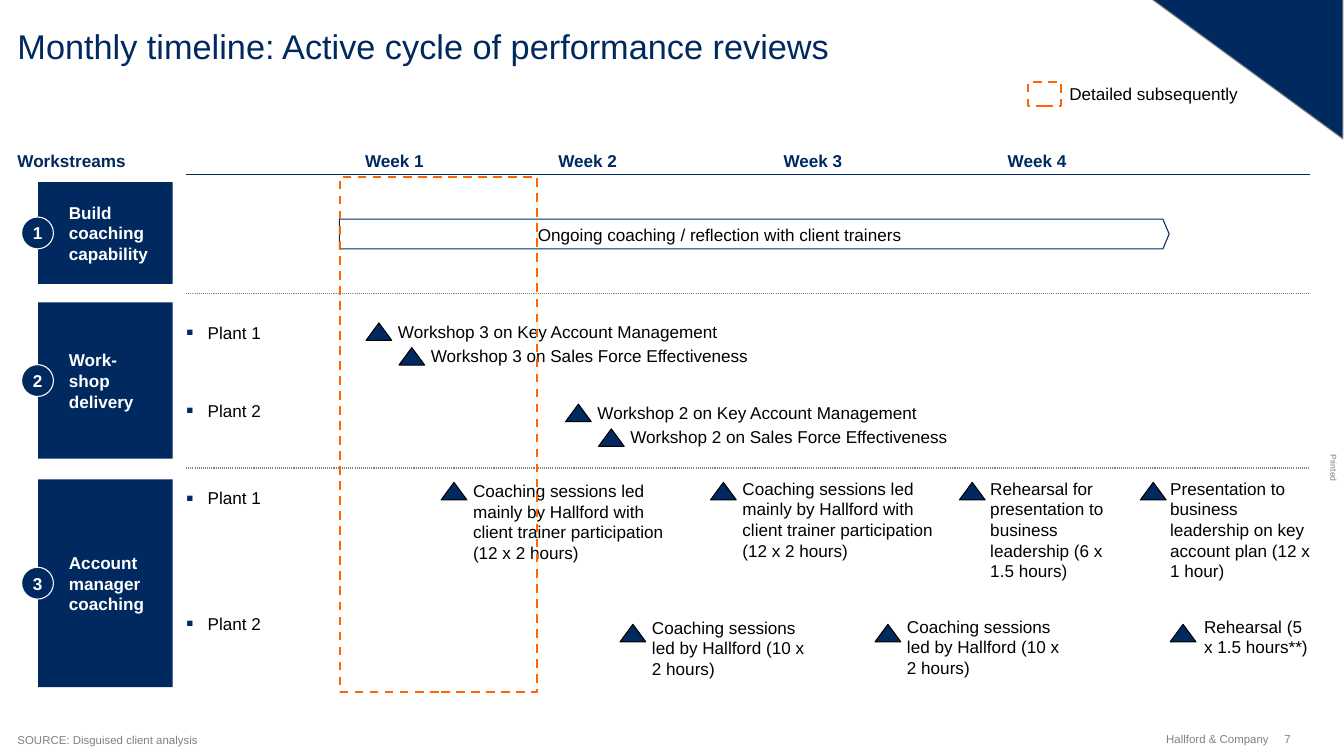
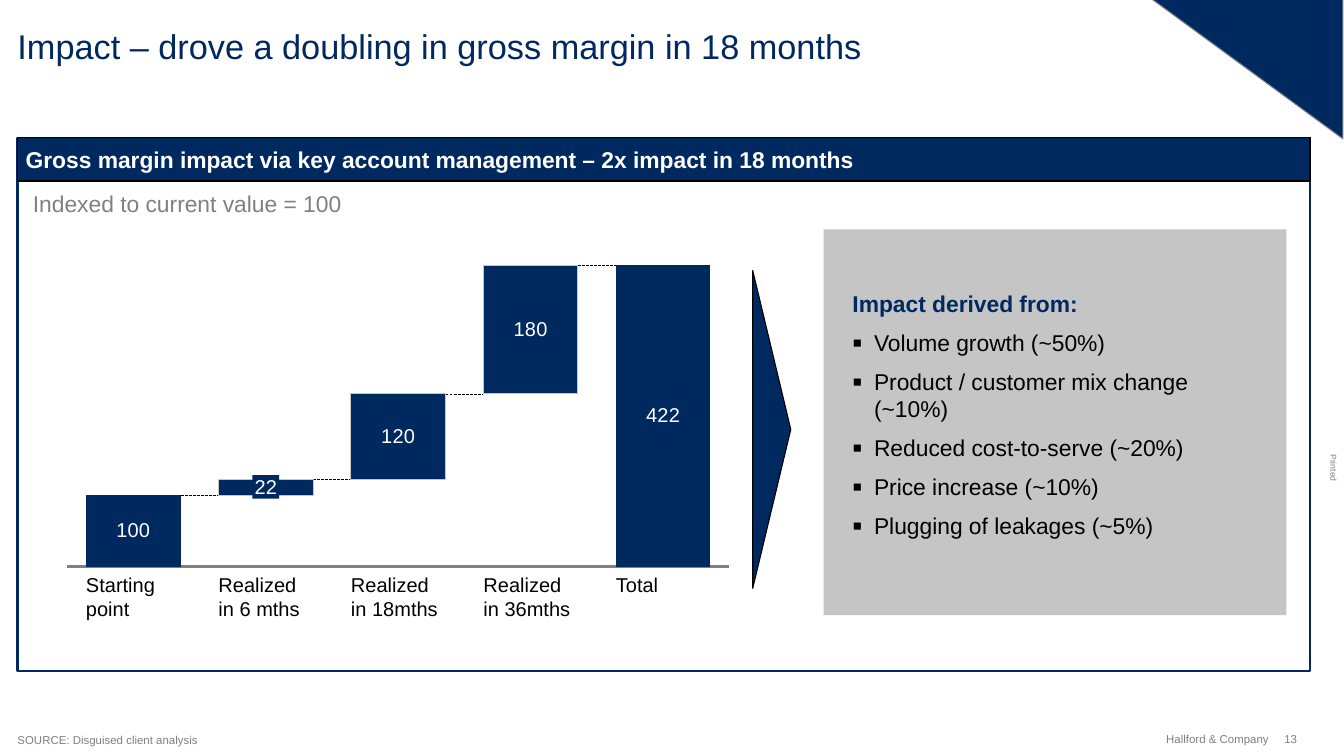
import lxml.etree
import pptx
import pptx.chart.data
import pptx.dml.color
import pptx.enum.chart
import pptx.enum.dml
import pptx.enum.shapes
import pptx.enum.text
import pptx.oxml
import pptx.oxml.ns
import pptx.util

Inches = pptx.util.Inches
Pt = pptx.util.Pt
Shape = pptx.enum.shapes.MSO_SHAPE
Dash = pptx.enum.dml.MSO_LINE
Align = pptx.enum.text.PP_ALIGN
Anchor = pptx.enum.text.MSO_ANCHOR
qn = pptx.oxml.ns.qn

COLOURS = {
    "navy": "002960", "grey": "808080", "silver": "C5C5C5",
    "orange": "FF6600", "black": "000000", "white": "FFFFFF",
}
FONT = "Arial"
MARGIN = 0.17
CONTENT_RIGHT = 12.74


def colour(name):
    return pptx.dml.color.RGBColor.from_string(COLOURS[name])


def style_font(font, size, ink, bold=False):
    font.name, font.size, font.bold = FONT, Pt(size), bold
    font.color.rgb = colour(ink)


def write(box, paragraphs, size, ink="black", bold=False, align=Align.LEFT,
          anchor=Anchor.TOP, insets=(0, 0, 0, 0)):
    """Fill a box with one string or a list of paragraphs."""
    frame = box.text_frame
    frame.word_wrap = True
    frame.vertical_anchor = anchor
    (frame.margin_left, frame.margin_top,
     frame.margin_right, frame.margin_bottom) = map(Inches, insets)
    if isinstance(paragraphs, str):
        paragraphs = [paragraphs]
    for index, text in enumerate(paragraphs):
        para = frame.add_paragraph() if index else frame.paragraphs[0]
        para.text = text
        para.alignment = align
        for span in para.runs:
            style_font(span.font, size, ink, bold)
    return box


def add_text(page, left, top, width, height, paragraphs, size, **style):
    box = page.shapes.add_textbox(*map(Inches, (left, top, width, height)))
    return write(box, paragraphs, size, **style)


def style_line(line, ink, weight, dash=None):
    line.color.rgb = colour(ink)
    line.width = Pt(weight)
    if dash is not None:
        line.dash_style = dash


def add_shape(page, kind, left, top, width, height, fill=None, line=None,
              weight=0.75, dash=None, rotation=0):
    shape = page.shapes.add_shape(kind, *map(Inches, (left, top, width, height)))
    shape.shadow.inherit = False
    shape.rotation = rotation
    if fill:
        shape.fill.solid()
        shape.fill.fore_color.rgb = colour(fill)
    else:
        shape.fill.background()
    if line:
        style_line(shape.line, line, weight, dash)
    else:
        shape.line.fill.background()
    return shape


def add_rule(page, left, top, width, ink, weight, dash=None):
    rule = page.shapes.add_connector(
        pptx.enum.shapes.MSO_CONNECTOR.STRAIGHT,
        *map(Inches, (left, top, left + width, top)))
    style_line(rule.line, ink, weight, dash)
    lxml.etree.SubElement(rule.element.spPr, qn("a:effectLst"))


def add_bullet(para, ink):
    properties = para._p.get_or_add_pPr()
    properties.set("marL", str(Inches(0.21)))
    properties.set("indent", str(Inches(-0.21)))
    tint = lxml.etree.SubElement(properties, qn("a:buClr"))
    lxml.etree.SubElement(tint, qn("a:srgbClr")).set("val", COLOURS[ink])
    lxml.etree.SubElement(properties, qn("a:buSzPct")).set("val", "125000")
    lxml.etree.SubElement(properties, qn("a:buFont")).set("typeface", FONT)
    lxml.etree.SubElement(properties, qn("a:buChar")).set("char", "▪")


def add_page(deck, title, number):
    """Blank page with the shared corner, title and footer."""
    page = deck.slides.add_slide(deck.slide_layouts[6])
    small = {"size": 8, "ink": "grey", "anchor": Anchor.MIDDLE}
    printed = add_text(page, 12.77, 4.5, 0.4, 0.1, "Printed", 6, ink="grey",
                       align=Align.CENTER)
    printed.rotation = 90
    add_shape(page, Shape.RIGHT_TRIANGLE, 11.2, -0.01, 1.86, 1.36,
              "navy", "grey", rotation=180)
    add_text(page, MARGIN, 0.25, 11.27, 0.4, title, 24, ink="navy")
    add_text(page, MARGIN, 7.12, 10, 0.14,
             "SOURCE: Disguised client analysis", **small)
    add_text(page, 10.84, 7.12, 1.5, 0.13, "Hallford & Company",
             align=Align.RIGHT, **small)
    add_text(page, 12.49, 7.12, 0.3, 0.13, str(number), **small)
    return page


# Timeline page

def add_legend(page, left, top):
    add_shape(page, Shape.RECTANGLE, left, top, 0.32, 0.23,
              line="orange", weight=1.5, dash=Dash.DASH)
    add_text(page, left + 0.4, top + 0.01, 2.03, 0.2, "Detailed subsequently", 12)


def add_week_header(page, left, top):
    headings = [(0, "Workstreams"), (3.38, "Week 1"), (5.26, "Week 2"),
                (7.45, "Week 3"), (9.63, "Week 4")]
    for offset, heading in headings:
        add_text(page, left + offset, top, 1.47, 0.2, heading, 12,
                 ink="navy", bold=True)


def add_workstream(page, left, top, height, number, name):
    block = add_shape(page, Shape.RECTANGLE, left + 0.16, top, 1.31, height, "navy")
    write(block, name, 12, "white", True, anchor=Anchor.MIDDLE,
          insets=(0.3, 0.08, 0.08, 0.08))
    badge = add_shape(page, Shape.OVAL, left, top + height / 2 - 0.155,
                      0.31, 0.31, "navy", "white")
    write(badge, str(number), 12, "white", True, Align.CENTER, Anchor.MIDDLE)


def add_lane(page, left, top, plant_offsets, milestones):
    """Plants and milestones of one lane, measured from its top left."""
    for number, offset in enumerate(plant_offsets, 1):
        label = add_text(page, left, top + offset, 1.37, 0.2, f"Plant {number}", 12)
        add_bullet(label.text_frame.paragraphs[0], "navy")
    for across, down, gap, lift, width, text in milestones:
        add_shape(page, Shape.ISOSCELES_TRIANGLE, left + across, top + down,
                  0.25, 0.17, "navy", "black")
        add_text(page, left + across + gap, top + down - lift, width, 0.8, text, 12)


def build_timeline(deck):
    page = add_page(deck, "Monthly timeline: Active cycle of performance reviews", 7)
    add_legend(page, 10, 0.8)
    add_week_header(page, MARGIN, 1.46)

    workstreams = [(1.77, 0.99, "Build coaching capability"),
                   (2.94, 1.52, "Work-\nshop delivery"),
                   (4.66, 2.02, "Account manager coaching")]
    for number, (top, height, name) in enumerate(workstreams, 1):
        add_workstream(page, 0.21, top, height, number, name)

    # Lane rules
    lane_left, workshop_top, coaching_top = 1.81, 2.85, 4.55
    lane_width = CONTENT_RIGHT - lane_left
    add_rule(page, lane_left, 1.7, lane_width, "navy", 0.75)
    for top in (workshop_top, coaching_top):
        add_rule(page, lane_left, top, lane_width, "grey", 0.75, Dash.ROUND_DOT)

    # Ongoing coaching bar
    bar = add_shape(page, Shape.PENTAGON, 3.3, 2.13, 8.07, 0.29, "white", "navy")
    bar.adjustments[0] = 0.21
    add_text(page, 3.69, 2.18, 6.62, 0.2,
             "Ongoing coaching / reflection with client trainers", 12,
             align=Align.CENTER)

    # Workshops: each plant has two, the second one step further on
    topics = ["Key Account Management", "Sales Force Effectiveness"]
    workshops = [
        (across + 0.32 * step, down + 0.24 * step, 0.31, 0.02, 5.88,
         f"Workshop {number} on {topic}")
        for across, down, number in [(1.75, 0.29, 3), (3.69, 1.08, 2)]
        for step, topic in enumerate(topics)]
    add_lane(page, lane_left, workshop_top, (0.28, 1.04), workshops)

    # Coaching
    joint = ("Coaching sessions led mainly by Hallford with client trainer "
             "participation (12 x 2 hours)")
    led = "Coaching sessions led by Hallford (10 x 2 hours)"
    add_lane(page, lane_left, coaching_top, (0.19, 1.41), [
        (2.48, 0.14, 0.31, 0.02, 1.89, joint),
        (5.1, 0.14, 0.31, 0.04, 1.89, joint),
        (7.52, 0.14, 0.3, 0.04, 1.29,
         "Rehearsal for presentation to business leadership (6 x 1.5 hours)"),
        (9.28, 0.14, 0.29, 0.04, 1.4,
         "Presentation to business leadership on key account plan (12 x 1 hour)"),
        (4.22, 1.52, 0.31, 0.07, 1.62, led),
        (6.7, 1.52, 0.31, 0.08, 1.62, led),
        (9.57, 1.52, 0.33, 0.08, 1.06, "Rehearsal (5 x 1.5 hours**)"),
    ])

    # Highlighted week
    add_shape(page, Shape.RECTANGLE, 3.31, 1.72, 1.91, 5.01,
              line="orange", weight=1.5, dash=Dash.DASH)


# Impact page

def fix_plot_area(chart, x, y, w, h):
    area = chart.element.find(".//" + qn("c:plotArea"))
    for old in area.findall(qn("c:layout")):
        area.remove(old)
    layout = pptx.oxml.parse_xml(
        '<c:layout xmlns:c="http://schemas.openxmlformats.org/drawingml/2006/chart">'
        '<c:manualLayout><c:layoutTarget val="inner"/>'
        '<c:xMode val="edge"/><c:yMode val="edge"/>'
        f'<c:x val="{x}"/><c:y val="{y}"/><c:w val="{w}"/><c:h val="{h}"/>'
        '</c:manualLayout></c:layout>')
    area.insert(0, layout)


def add_waterfall(page, left, top, width, height):
    labels = ["Starting\npoint", "Realized\nin 6 mths", "Realized\nin 18mths",
              "Realized\nin 36mths", "Total"]
    bases = [100, 100, 122, 242, 422]
    steps = [None, 22, 120, 180, None]
    peak = max(bases)
    inset_x, inset_y, share_x, share_y = 0.014, 0.029, 0.973, 0.942
    pitch = width * share_x / len(labels)
    bar_width = pitch / 1.4
    first_bar = left + width * inset_x + (pitch - bar_width) / 2
    baseline = top + height * (inset_y + share_y)
    scale = height * share_y / peak

    # Dashed links between bars
    for index, level in enumerate([100, 122, 242, 422]):
        add_rule(page, first_bar + index * pitch + bar_width,
                 baseline - level * scale, pitch - bar_width,
                 "black", 0.25, Dash.LONG_DASH)

    data = pptx.chart.data.CategoryChartData()
    data.categories = [str(number) for number in range(1, len(labels) + 1)]
    data.add_series("Series 1", bases)
    data.add_series("Series 2", steps)
    chart = page.shapes.add_chart(
        pptx.enum.chart.XL_CHART_TYPE.COLUMN_STACKED,
        *map(Inches, (left, top, width, height)), data).chart
    chart.has_legend = chart.has_title = False
    style_font(chart.font, 10, "black")
    fix_plot_area(chart, inset_x, inset_y, share_x, share_y)
    plot = chart.plots[0]
    plot.gap_width, plot.overlap, plot.vary_by_categories = 40, 100, False

    # Axes
    values, categories = chart.value_axis, chart.category_axis
    values.minimum_scale, values.maximum_scale = 0, peak
    values.has_major_gridlines = values.visible = False
    categories.tick_label_position = pptx.enum.chart.XL_TICK_LABEL_POSITION.NONE
    categories.major_tick_mark = pptx.enum.chart.XL_TICK_MARK.NONE
    style_line(categories.format.line, "grey", 2.25)

    # Bars and their values
    base, step = plot.series
    base.format.fill.background()
    step.format.fill.solid()
    step.format.fill.fore_color.rgb = colour("navy")
    style_line(step.format.line, "silver", 0.75)
    for series, shown in ((base, (0, 4)), (step, (2, 3))):
        series.data_labels.show_value = False
        for index in shown:
            point = series.points[index]
            if series is base:
                point.format.fill.solid()
                point.format.fill.fore_color.rgb = colour("navy")
            style_font(point.data_label.font, 14, "white")
            point.data_label.position = pptx.enum.chart.XL_LABEL_POSITION.CENTER

    # Label of the thin bar, and category names
    middle = first_bar + pitch + bar_width / 2
    tag = add_shape(page, Shape.RECTANGLE, middle - 0.13,
                    baseline - 111 * scale - 0.12, 0.26, 0.23, "navy")
    write(tag, "22", 14, "white", align=Align.CENTER, anchor=Anchor.MIDDLE)
    for index, label in enumerate(labels):
        add_text(page, first_bar + index * pitch, baseline + 0.06, 1.2, 0.47,
                 label, 14)


def add_drivers(page, left, top, width, height):
    add_shape(page, Shape.RECTANGLE, left, top, width, height, "silver")
    box = add_text(page, left + 0.28, top + 0.59, 3.95, 2.56, [
        "Impact derived from:", "Volume growth (~50%)",
        "Product / customer mix change (~10%)", "Reduced cost-to-serve (~20%)",
        "Price increase (~10%)", "Plugging of leakages (~5%)"], 16)
    heading, *drivers = box.text_frame.paragraphs
    style_font(heading.runs[0].font, 16, "navy", True)
    for para in drivers:
        add_bullet(para, "black")
        para.space_before = Pt(8)


def build_impact(deck):
    page = add_page(deck, "Impact – drove a doubling in gross margin in 18 months", 13)
    top, width = 1.34, CONTENT_RIGHT - MARGIN
    add_shape(page, Shape.RECTANGLE, MARGIN, top, width, 5.18,
              line="navy", weight=1.5)
    band = add_shape(page, Shape.RECTANGLE, MARGIN, top, width, 0.42, "navy", "black")
    write(band, "Gross margin impact via key account management – 2x impact in 18 months",
          16, "white", True, anchor=Anchor.MIDDLE, insets=(0.08, 0.08, 0.08, 0.08))
    add_text(page, MARGIN + 0.15, top + 0.5, 4.42, 0.27,
             "Indexed to current value = 100", 16, ink="grey")
    add_waterfall(page, 0.56, 2.49, 6.62, 3.11)
    add_shape(page, Shape.ISOSCELES_TRIANGLE, 5.96, 3.99, 3.09, 0.37,
              "navy", "black", rotation=90)
    add_drivers(page, 8.01, 2.23, 4.5, 3.75)


def main():
    deck = pptx.Presentation()
    deck.slide_width, deck.slide_height = Inches(13.07), Inches(7.35)
    build_timeline(deck)
    build_impact(deck)
    deck.save("out.pptx")


if __name__ == "__main__":
    main()
